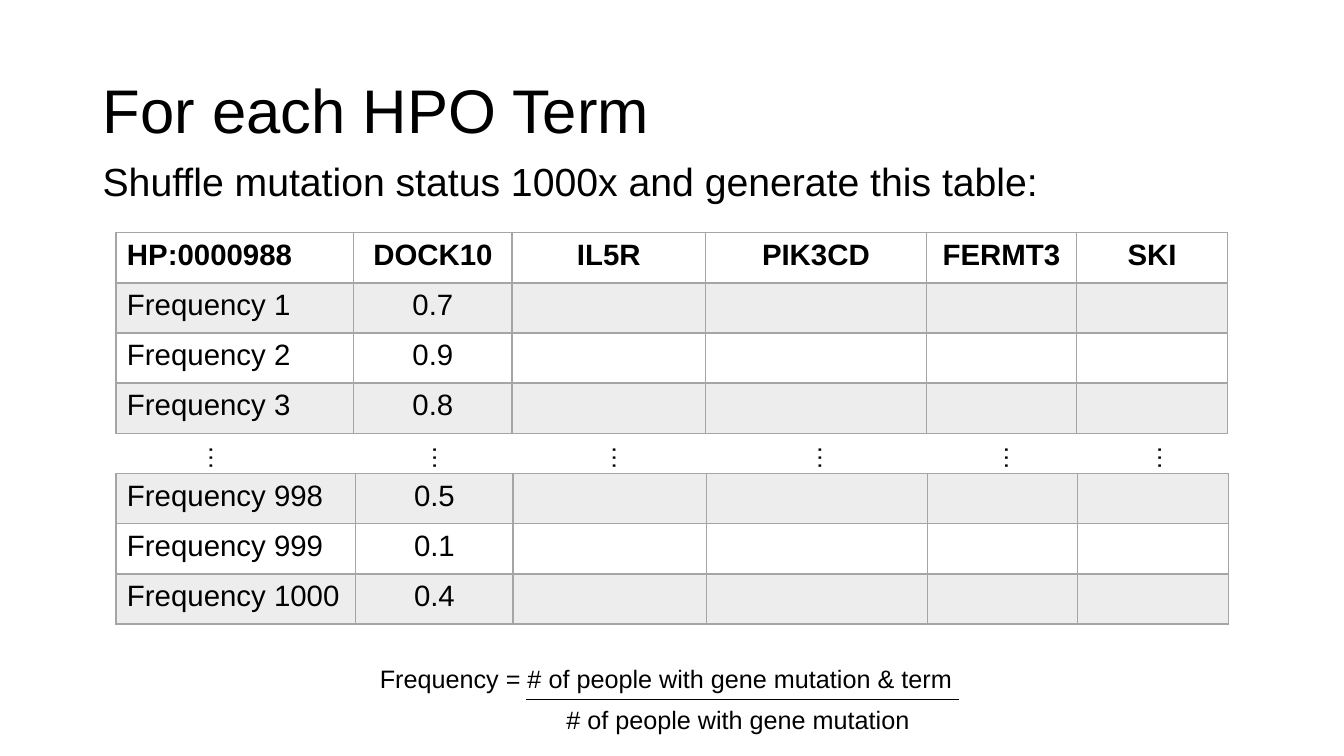
import pptx
import pptx.dml.color
import pptx.enum.shapes
import pptx.enum.text
import pptx.util
from lxml import etree
from pptx.oxml.ns import qn

Inches = pptx.util.Inches
Align = pptx.enum.text.PP_ALIGN
Anchor = pptx.enum.text.MSO_ANCHOR
BLACK = pptx.dml.color.RGBColor(0, 0, 0)
GREY = pptx.dml.color.RGBColor(0xA5, 0xA5, 0xA5)
BAND = pptx.dml.color.RGBColor(0xED, 0xED, 0xED)
ROW = 0.497
LEFT = 1.15
GENES = ["DOCK10", "IL5R", "PIK3CD", "FERMT3", "SKI"]


def write(frame, text, size=18, bold=False, align=Align.LEFT, space=None, before=0):
    """Put one formatted line of text into a text frame."""
    para = frame.paragraphs[0]
    para.alignment = align
    para.line_spacing = space
    para.space_before = pptx.util.Pt(before)
    run = para.add_run()
    run.text = text
    run.font.name = "Arial"
    run.font.size = pptx.util.Pt(size)
    run.font.bold = bold
    run.font.color.rgb = BLACK


def edge(cell, side, width):
    """Draw one border of a table cell; side is L, R, T or B."""
    props = cell._tc.get_or_add_tcPr()
    line = etree.SubElement(props, qn("a:ln" + side), w=str(pptx.util.Pt(width)))
    fill = etree.SubElement(line, qn("a:solidFill"))
    etree.SubElement(fill, qn("a:srgbClr"), val=str(GREY))


deck = pptx.Presentation()
deck.slide_width = Inches(13.333)
deck.slide_height = Inches(7.5)
slide = deck.slides.add_slide(deck.slide_layouts[6])
shapes = slide.shapes

# Heading
title = shapes.add_textbox(Inches(0.92), Inches(0.4), Inches(11.5), Inches(1.45)).text_frame
title.word_wrap = True
title.vertical_anchor = Anchor.MIDDLE
write(title, "For each HPO Term", size=44, space=0.9)
lead = shapes.add_textbox(Inches(0.92), Inches(1.56), Inches(11.5), Inches(0.57)).text_frame
lead.word_wrap = True
write(lead, "Shuffle mutation status 1000x and generate this table:",
      size=28, space=0.9, before=10)

# Tables: the first and last shuffles
first = [["HP:0000988"] + GENES,
         ["Frequency 1", "0.7"], ["Frequency 2", "0.9"], ["Frequency 3", "0.8"]]
last = [["Frequency 998", "0.5"], ["Frequency 999", "0.1"], ["Frequency 1000", "0.4"]]
tail = [1.92, 2.19, 1.49, 1.5]
for top, rows, widths, head in [(2.31, first, [2.36, 1.57] + tail, True),
                                (4.7, last, [2.38, 1.56] + tail, False)]:
    table = shapes.add_table(len(rows), len(widths), Inches(LEFT), Inches(top),
                             Inches(sum(widths)), Inches(ROW * len(rows))).table
    table.first_row = head
    table.horz_banding = False
    for col, width in zip(table.columns, widths):
        col.width = Inches(width)
    for r, row in enumerate(rows):
        table.rows[r].height = Inches(ROW)
        title_row = head and r == 0
        for c in range(len(widths)):
            cell = table.cell(r, c)
            cell.margin_left = cell.margin_right = Inches(0.11)
            cell.margin_top = cell.margin_bottom = Inches(0.06)
            for side in "LRTB":
                thick = (title_row and side == "B") or (head and r == 1 and side == "T")
                edge(cell, side, 2 if thick else 1)
            if (r + head) % 2 == 0 and not title_row:
                cell.fill.solid()
                cell.fill.fore_color.rgb = BAND
            else:
                cell.fill.background()
            if c < len(row):
                write(cell.text_frame, row[c], size=21, bold=title_row,
                      align=Align.CENTER if c else Align.LEFT)

# Fix the band order: shaded rows are 1 and 3 above, 0 and 2 below
for frame in [s for s in shapes if s.has_table]:
    table = frame.table
    for r, row in enumerate(table.rows):
        for cell in row.cells:
            if r % 2 == int(table.first_row):
                cell.fill.solid()
                cell.fill.fore_color.rgb = BAND
            else:
                cell.fill.background()

# Dots between the tables
for x in [1.88, 4.1, 5.88, 7.92, 9.77, 11.29]:
    dots = shapes.add_textbox(Inches(x), Inches(4.32), Inches(0.5), Inches(0.35)).text_frame
    dots.word_wrap = False
    dots.auto_size = pptx.enum.text.MSO_AUTO_SIZE.SHAPE_TO_FIT_TEXT
    dots._txBody.bodyPr.set("vert", "vert")
    write(dots, "…")

# Formula
for x, y, width, text in [
        (3.67, 6.53, 5.99, "Frequency = # of people with gene mutation & term"),
        (5.52, 6.94, 3.7, "# of people with gene mutation")]:
    part = shapes.add_textbox(Inches(x), Inches(y), Inches(width), Inches(0.4)).text_frame
    part.word_wrap = False
    part.auto_size = pptx.enum.text.MSO_AUTO_SIZE.SHAPE_TO_FIT_TEXT
    write(part, text)
bar = shapes.add_connector(pptx.enum.shapes.MSO_CONNECTOR.STRAIGHT,
                           Inches(5.22), Inches(6.94), Inches(9.51), Inches(6.94))
bar.line.color.rgb = BLACK
bar.line.width = pptx.util.Pt(0.5)
etree.SubElement(bar._element.spPr, qn("a:effectLst"))

deck.save("out.pptx")
